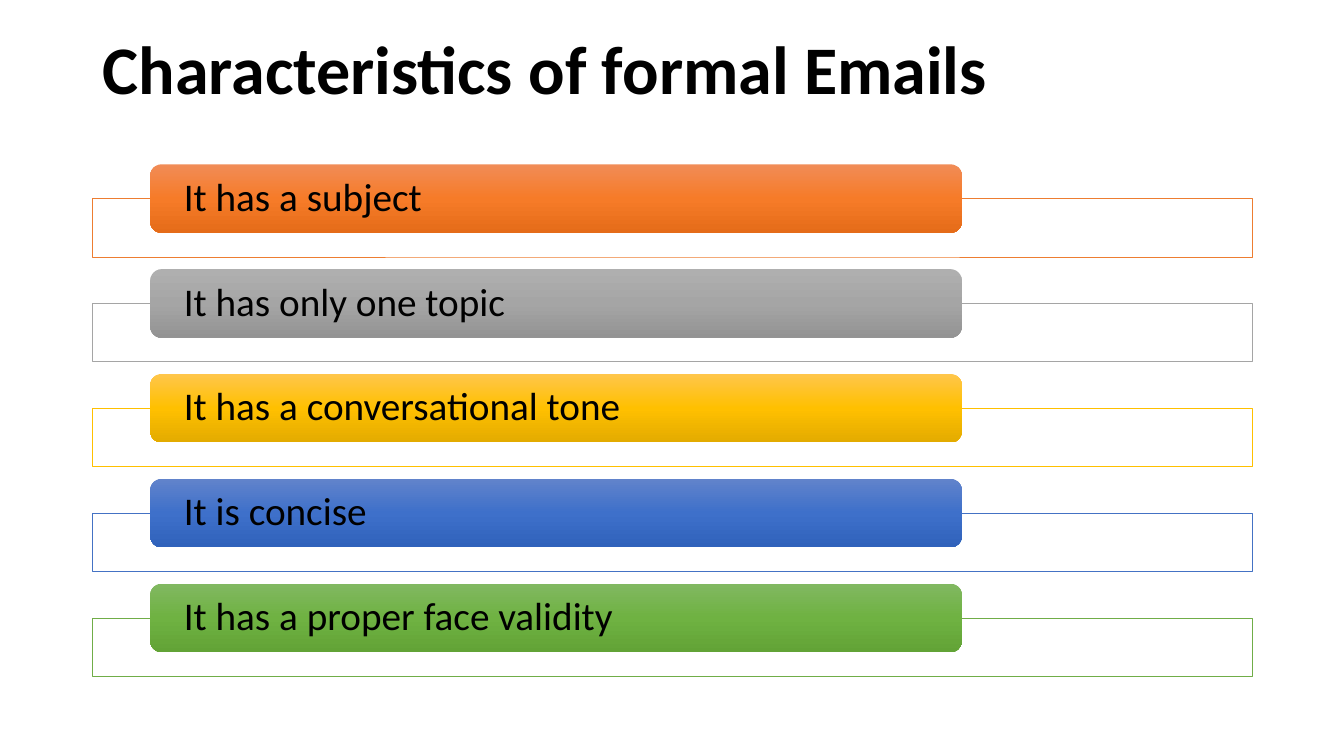
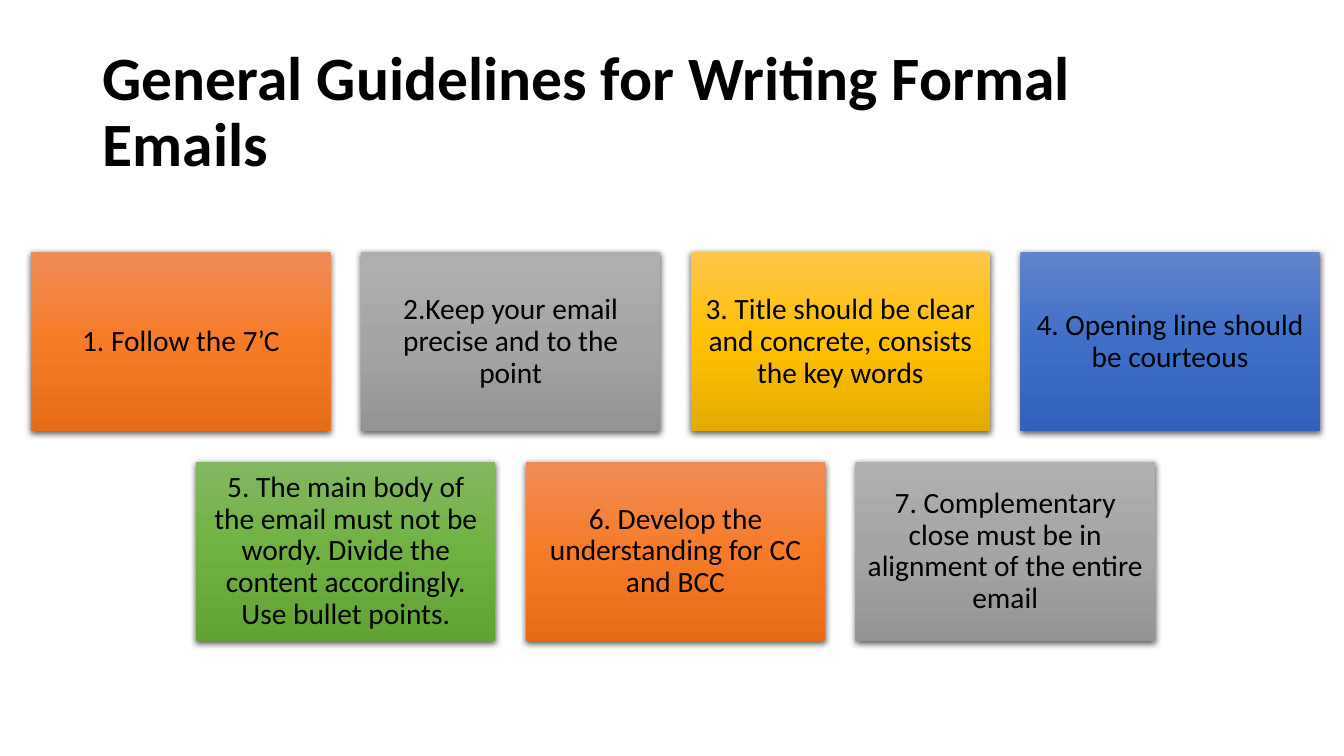
from copy import deepcopy
from lxml.etree import SubElement
from pptx import Presentation
from pptx.dml.color import RGBColor
from pptx.enum.shapes import MSO_SHAPE
from pptx.enum.text import MSO_ANCHOR, PP_ALIGN
from pptx.oxml.ns import qn
from pptx.util import Inches, Pt

BLACK = RGBColor(0x00, 0x00, 0x00)
WHITE = RGBColor(0xFF, 0xFF, 0xFF)
ORANGE = RGBColor(0xED, 0x7D, 0x31)
GRAY = RGBColor(0xA5, 0xA5, 0xA5)
GOLD = RGBColor(0xFF, 0xC0, 0x00)
BLUE = RGBColor(0x44, 0x72, 0xC4)
GREEN = RGBColor(0x70, 0xAD, 0x47)

ACCENTS = [ORANGE, GRAY, GOLD, BLUE, GREEN]
GRADIENTS = {
    ORANGE: (RGBColor(0xF1, 0x8C, 0x57), RGBColor(0xF6, 0x7B, 0x28), RGBColor(0xE5, 0x6C, 0x19)),
    GRAY: (RGBColor(0xAF, 0xAF, 0xAF), RGBColor(0xA5, 0xA5, 0xA5), RGBColor(0x93, 0x93, 0x93)),
    GOLD: (RGBColor(0xFF, 0xC6, 0x4B), RGBColor(0xFF, 0xC0, 0x00), RGBColor(0xE3, 0xAB, 0x00)),
    BLUE: (RGBColor(0x61, 0x83, 0xCB), RGBColor(0x3E, 0x70, 0xCA), RGBColor(0x30, 0x62, 0xBB)),
    GREEN: (RGBColor(0x81, 0xB8, 0x61), RGBColor(0x6F, 0xB2, 0x42), RGBColor(0x62, 0xA3, 0x36)),
}

CHARACTERISTICS = [
    "It has a subject",
    "It has only one topic",
    "It has a conversational tone",
    "It is concise",
    "It has a proper face validity",
]
GUIDELINES = [
    "1. Follow the 7’C",
    "2.Keep your email precise and to the point",
    "3. Title should be clear and concrete, consists the key words",
    "4. Opening line should be courteous",
    "5. The main body of the email must not be wordy. Divide the content accordingly. Use bullet points.",
    "6. Develop the understanding for CC and BCC",
    "7. Complementary close must be in alignment of the entire email",
]


class Deck:
    font_name = "Calibri"
    margin = 0.92
    content_width = 11.5

    def __init__(self):
        self.presentation = Presentation()
        self.presentation.slide_width = Inches(13.33)
        self.presentation.slide_height = Inches(7.5)
        self.slide = None

    def add_slide(self, title, title_height, title_size):
        self.slide = self.presentation.slides.add_slide(self.presentation.slide_layouts[6])
        box = self.slide.shapes.add_textbox(
            Inches(self.margin), Inches(0.4), Inches(self.content_width), Inches(title_height))
        self.add_text(box, title, title_size, PP_ALIGN.LEFT, (0.1, 0.05), bold=True)

    def add_text(self, shape, text, size, alignment, insets, bold=False):
        frame = shape.text_frame
        frame.word_wrap = True
        frame.vertical_anchor = MSO_ANCHOR.MIDDLE
        frame.margin_left = frame.margin_right = Inches(insets[0])
        frame.margin_top = frame.margin_bottom = Inches(insets[1])
        paragraph = frame.paragraphs[0]
        paragraph.alignment = alignment
        paragraph.line_spacing = 0.9
        run = paragraph.add_run()
        run.text = text
        run.font.name = self.font_name
        run.font.size = Pt(size)
        run.font.bold = bold
        run.font.color.rgb = BLACK

    def add_panel(self, kind, left, top, width, height):
        shape = self.slide.shapes.add_shape(
            kind, Inches(left), Inches(top), Inches(width), Inches(height))
        shape.shadow.inherit = False
        return shape

    def add_gradient_panel(self, kind, left, top, width, height, accent):
        shape = self.add_panel(kind, left, top, width, height)
        shape.line.fill.background()
        shape.fill.gradient()
        shape.fill.gradient_angle = 270
        stop_list = shape._element.spPr.find(qn("a:gradFill")).find(qn("a:gsLst"))
        stop_list.append(deepcopy(stop_list[0]))
        for index, (stop, color) in enumerate(zip(shape.fill.gradient_stops, GRADIENTS[accent])):
            stop.position = index / 2
            stop.color.rgb = color
        return shape

    def add_outline(self, left, top, width, height, accent):
        shape = self.add_panel(MSO_SHAPE.RECTANGLE, left, top, width, height)
        shape.fill.solid()
        shape.fill.fore_color.rgb = WHITE
        shape.line.color.rgb = accent
        shape.line.width = Pt(0.5)

    def add_labelled_row(self, text, top, accent):
        self.add_outline(self.margin, top + 0.34, self.content_width, 0.58, accent)
        label = self.add_gradient_panel(
            MSO_SHAPE.ROUNDED_RECTANGLE, 1.49, top, 8.05, 0.68, accent)
        self.add_text(label, text, 28, PP_ALIGN.LEFT, (0.3, 0))

    def add_card(self, text, left, top, width, height, accent):
        card = self.add_gradient_panel(MSO_SHAPE.RECTANGLE, left, top, width, height, accent)
        self.add_shadow(card)
        self.add_text(card, text, 21, PP_ALIGN.CENTER, (0.09, 0.09))

    def add_shadow(self, shape):
        effects = shape._element.spPr.find(qn("a:effectLst"))
        shadow = SubElement(
            effects, qn("a:outerShdw"), blurRad=str(Pt(4.5)), dist=str(Pt(1.5)),
            dir="5400000", algn="ctr", rotWithShape="0")
        color = SubElement(shadow, qn("a:srgbClr"), val=str(BLACK))
        SubElement(color, qn("a:alpha"), val="63000")


def add_characteristics(deck):
    deck.add_slide("Characteristics of formal Emails", 0.64, 48.6)
    row_pitch = 1.04
    for index, (text, accent) in enumerate(zip(CHARACTERISTICS, ACCENTS)):
        deck.add_labelled_row(text, 1.63 + index * row_pitch, accent)


def add_guidelines(deck):
    deck.add_slide("General Guidelines for Writing Formal Emails", 1.45, 44)
    columns, width, height, gap, center = 4, 2.97, 1.78, 0.3, 6.7
    for index, text in enumerate(GUIDELINES):
        row, column = divmod(index, columns)
        row_count = min(columns, len(GUIDELINES) - row * columns)
        row_left = center - (row_count * (width + gap) - gap) / 2
        deck.add_card(
            text, row_left + column * (width + gap), 2.5 + row * (height + gap),
            width, height, ACCENTS[index % len(ACCENTS)])


def main():
    deck = Deck()
    add_characteristics(deck)
    add_guidelines(deck)
    deck.presentation.save("out.pptx")


if __name__ == "__main__":
    main()
